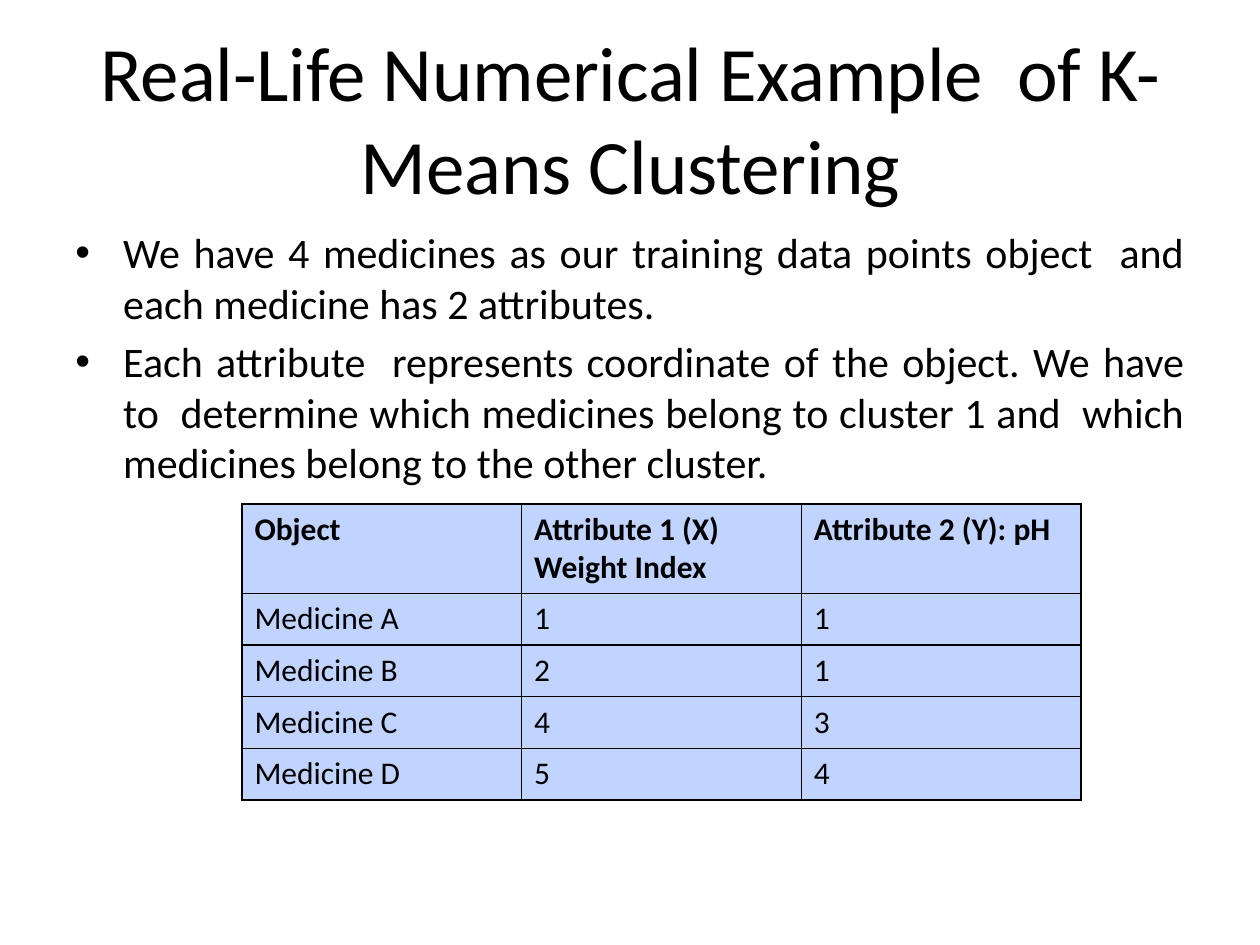
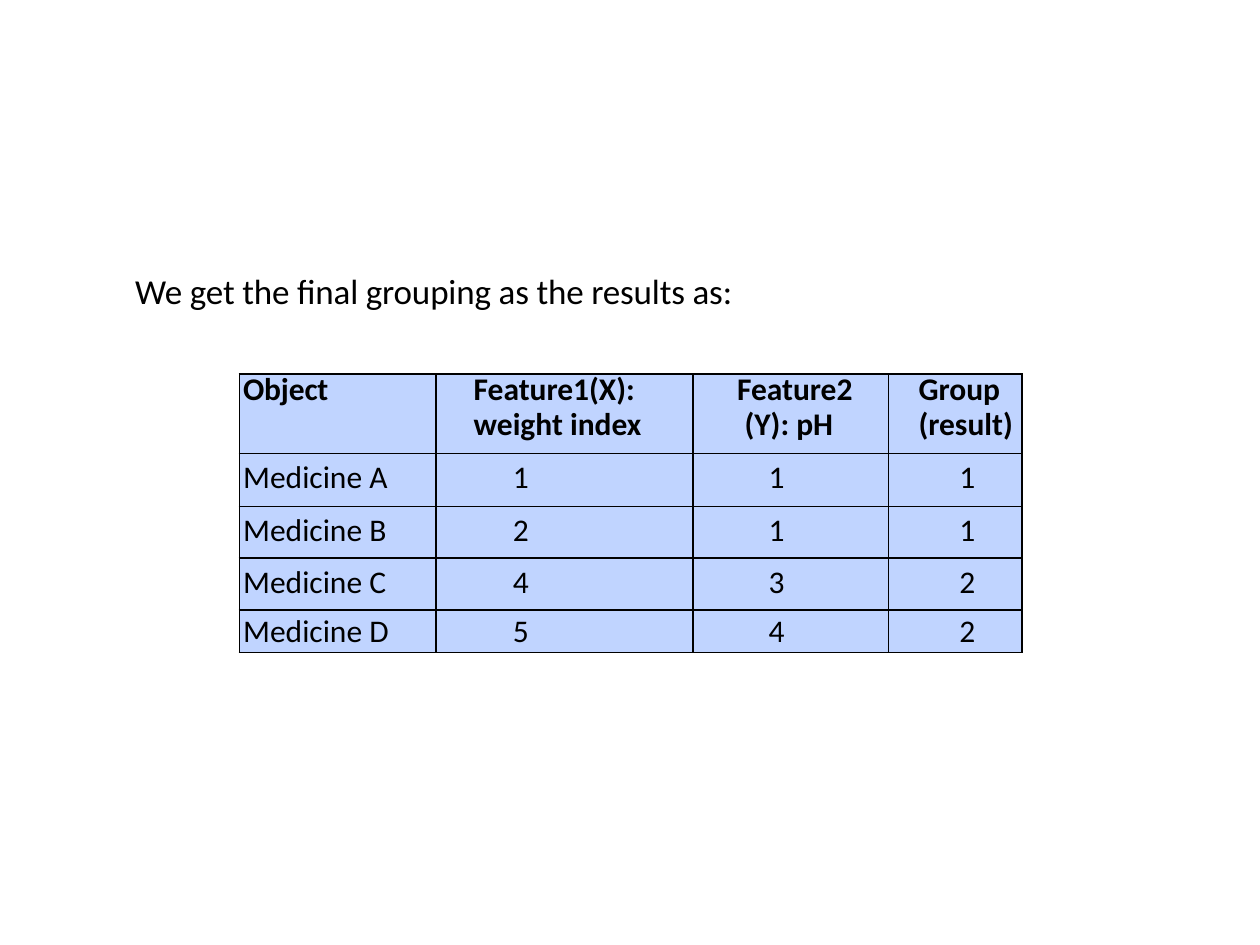
"""Build two slides on a K-means clustering example with medicines."""
from lxml import etree
from pptx import Presentation, util as u
from pptx.dml.color import RGBColor
from pptx.enum import text as t
from pptx.oxml import ns

BLACK = RGBColor(0, 0, 0)
WHITE = RGBColor(255, 255, 255)
PALE_BLUE = RGBColor(0xC0, 0xD4, 0xFF)
FONT = "Calibri"
Inches, Pt = u.Inches, u.Pt


def write(frame, text, size=18, bold=False, align=t.PP_ALIGN.LEFT, left=0, first=0,
          before=0, leading=None, tracking=0, bullet=None):
    para = frame.paragraphs[0] if not frame.text else frame.add_paragraph()
    para.alignment = align
    para.space_before = Pt(before)
    if leading:
        para.line_spacing = Pt(leading)
    layout = para._p.get_or_add_pPr()
    layout.set("marL", str(Inches(left)))
    layout.set("indent", str(Inches(first)))
    if bullet:
        etree.SubElement(layout, ns.qn("a:buFont")).set("typeface", "Arial")
        etree.SubElement(layout, ns.qn("a:buChar")).set("char", bullet)
    span = para.add_run()
    span.text = text
    span.font.name, span.font.size = FONT, Pt(size)
    span.font.bold, span.font.color.rgb = bold, BLACK
    if tracking:
        span._r.get_or_add_rPr().set("spc", str(round(tracking * 100)))


def add_grid(page, left, top, widths, heights):
    frame = page.shapes.add_table(len(heights), len(widths), Inches(left), Inches(top),
                                  Inches(sum(widths)), Inches(sum(heights)))
    grid = frame.table
    for column, width in zip(grid.columns, widths):
        column.width = Inches(width)
    for row, height in zip(grid.rows, heights):
        row.height = Inches(height)
    for cell in grid.iter_cells():
        cell.fill.solid()
        cell.fill.fore_color.rgb = PALE_BLUE
        for place, side in enumerate(("lnL", "lnR", "lnT", "lnB")):
            border = etree.Element(ns.qn(f"a:{side}"), w=str(Pt(1)))
            paint = etree.SubElement(border, ns.qn("a:solidFill"))
            etree.SubElement(paint, ns.qn("a:srgbClr")).set("val", str(BLACK))
            cell._tc.get_or_add_tcPr().insert(place, border)
    return grid


deck = Presentation()
deck.slide_width, deck.slide_height = Inches(10), Inches(7.5)

medicines = [
    ("Medicine A", "1", "1", "1"),
    ("Medicine B", "2", "1", "1"),
    ("Medicine C", "4", "3", "2"),
    ("Medicine D", "5", "4", "2"),
]
titles = [
    ("Real-Life Numerical Example  of K-Means Clustering", 44, (0.5, 0.3, 9, 1.25)),
    ("We get the final grouping as the results as:", 20, (0.58, 2.12, 5.71, 0.36)),
]
pages = []
for title, size, place in titles:
    page = deck.slides.add_slide(deck.slide_layouts[6])
    page.background.fill.solid()
    page.background.fill.fore_color.rgb = WHITE
    frame = page.shapes.add_textbox(*map(Inches, place)).text_frame
    frame.word_wrap = True
    frame.auto_size = t.MSO_AUTO_SIZE.SHAPE_TO_FIT_TEXT
    frame.vertical_anchor = t.MSO_ANCHOR.MIDDLE
    frame.margin_left = frame.margin_right = frame.margin_bottom = 0
    frame.margin_top = Inches(0.01)
    write(frame, title, size=size, align=t.PP_ALIGN.CENTER, left=0.01, before=1, tracking=-0.1)
    pages.append(page)
data_page, result_page = pages

body = data_page.shapes.add_textbox(Inches(0.5), Inches(1.75), Inches(9), Inches(4.95)).text_frame
body.word_wrap = True
for point in (
    "We have 4 medicines as our training data points object  and each medicine has 2 attributes. ",
    "Each attribute  represents coordinate of the object. We have to  determine which medicines "
    "belong to cluster 1 and  which medicines belong to the other cluster.",
):
    write(body, point, size=24, align=t.PP_ALIGN.JUSTIFY, left=0.38, first=-0.38,
          before=4.8, bullet="•")

data_grid = add_grid(data_page, 1.92, 4, [2.22] * 3, [0.71] + [0.41] * 4)
data_header = ("Object", "Attribute 1 (X) Weight Index", "Attribute 2 (Y): pH")
for row, values in enumerate([data_header, *medicines]):
    for column, value in enumerate(values[:3]):
        write(data_grid.cell(row, column).text_frame, value, bold=row == 0)

result_grid = add_grid(result_page, 1.9, 2.97, [1.56, 2.04, 1.55, 1.06],
                       [0.63, 0.42, 0.41, 0.41, 0.34])
result_header = ("Object", "Feature1(X):  weight index", "Feature2 (Y): pH", "Group  (result)")
header_indents = [(0.03, 0), (0.3, 0), (0.41, -0.06), (0.24, 0)]
value_indents = [0.03, 0.61, 0.6, 0]
for row, values in enumerate([result_header, *medicines]):
    for column, value in enumerate(values):
        cell = result_grid.cell(row, column)
        cell.margin_left = cell.margin_right = cell.margin_bottom = 0
        cell.margin_top = Inches(0.04 if row else 0)
        if row == 0:
            left, first = header_indents[column]
            write(cell.text_frame, value, bold=True, left=left, first=first,
                  leading=20 if column else 19.6, tracking=-0.1 if column == 0 else 0)
            continue
        align = t.PP_ALIGN.LEFT
        if column == 3:
            align = t.PP_ALIGN.RIGHT
            cell.margin_right = Inches(0.37)
        write(cell.text_frame, value, align=align, left=value_indents[column],
              before=2.9, leading=20.9 if row == len(medicines) else None)

deck.save("out.pptx")
